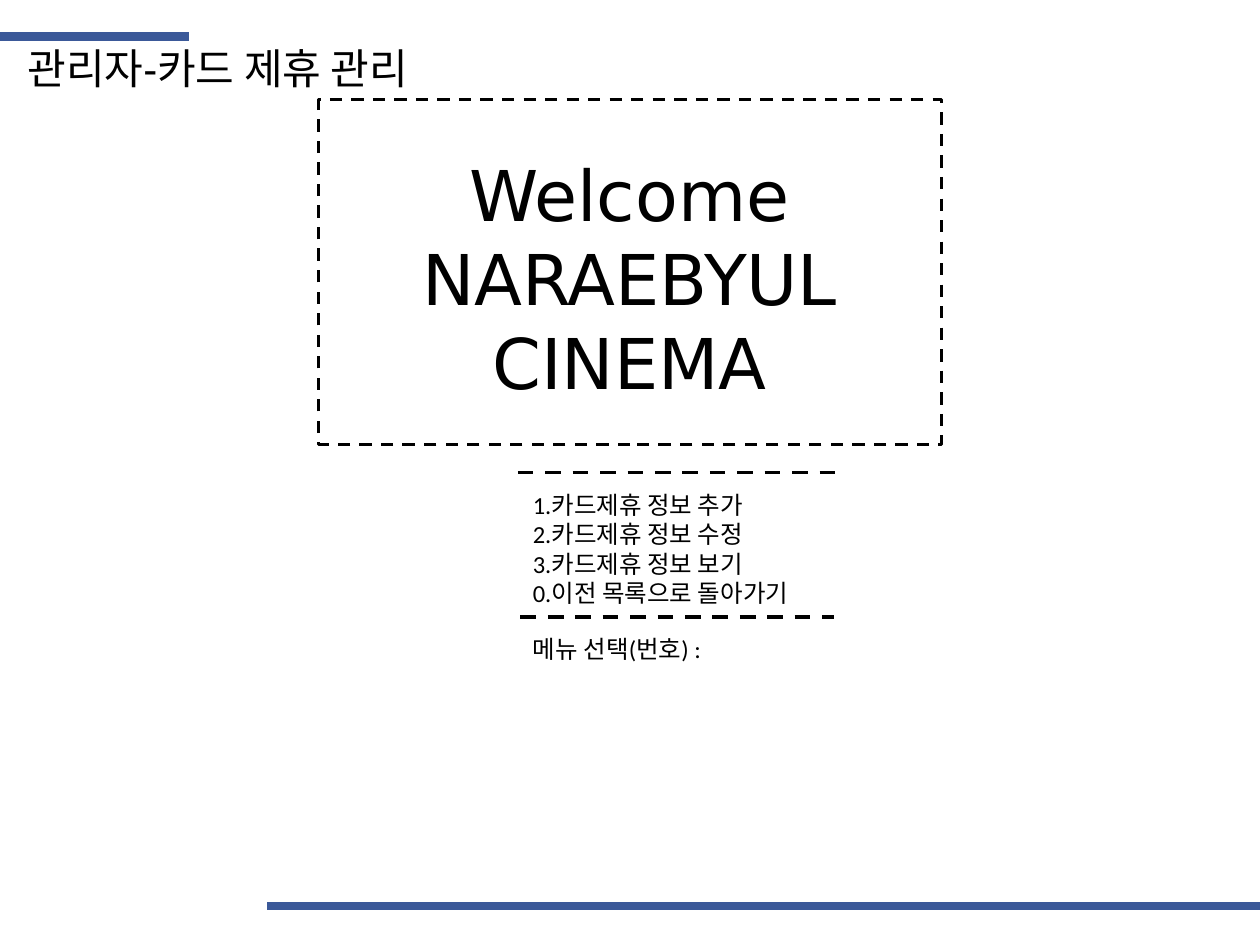
import pptx
import pptx.dml.color
import pptx.enum.dml
import pptx.enum.shapes
import pptx.enum.text
import pptx.oxml
import pptx.util

Pt = pptx.util.Pt
BLUE = pptx.dml.color.RGBColor(0x3B, 0x59, 0x99)
BLACK = pptx.dml.color.RGBColor(0, 0, 0)
DASH = pptx.enum.dml.MSO_LINE.DASH
LEFT = pptx.enum.text.PP_ALIGN.LEFT
CENTER = pptx.enum.text.PP_ALIGN.CENTER
EFFECTS = '<a:effectLst xmlns:a="http://schemas.openxmlformats.org/drawingml/2006/main"/>'


class ConsoleSlide:
    """Draws rules, frames and text on one slide, in points."""

    def __init__(self, slide):
        self.shapes = slide.shapes
        self.font = "Calibri"
        self.size = 14

    def stroke(self, line, color, width, dash):
        line.color.rgb = color
        line.width = Pt(width)
        if dash:
            line.dash_style = dash

    def rule(self, start, end, y, color, width, dash=None):
        rule = self.shapes.add_connector(
            pptx.enum.shapes.MSO_CONNECTOR.STRAIGHT, Pt(start), Pt(y), Pt(end), Pt(y))
        self.stroke(rule.line, color, width, dash)
        rule._element.spPr.append(pptx.oxml.parse_xml(EFFECTS))

    def frame(self, left, top, width, height):
        frame = self.shapes.add_shape(
            pptx.enum.shapes.MSO_SHAPE.RECTANGLE, Pt(left), Pt(top), Pt(width), Pt(height))
        frame.shadow.inherit = False
        frame.fill.background()
        self.stroke(frame.line, BLACK, 1.75, DASH)

    def text(self, lines, left, top, width, height, font=None, size=None, align=LEFT):
        body = self.shapes.add_textbox(Pt(left), Pt(top), Pt(width), Pt(height)).text_frame
        body.word_wrap = True
        body.text = "\n".join(lines)
        for paragraph in body.paragraphs:
            paragraph.alignment = align
            paragraph.font.name = font or self.font
            paragraph.font.size = Pt(size or self.size)
            paragraph.font.color.rgb = BLACK


def main():
    deck = pptx.Presentation()
    deck.slide_width, deck.slide_height = Pt(720), Pt(540)
    page = ConsoleSlide(deck.slides.add_slide(deck.slide_layouts[6]))

    page.rule(0, 108, 20.9, BLUE, 5)
    page.text(["관리자-카드 제휴 관리"], 8.6, 20.9, 315.4, 36, "Arial", 24)
    page.rule(152.6, 720, 517.7, BLUE, 5)

    page.frame(182.2, 56.9, 355.7, 197.3)
    page.text(["Welcome", "NARAEBYUL", "CINEMA"],
              157, 82.8, 405.4, 133.2, "DejaVu Sans", 40, CENTER)

    page.rule(295.9, 477.4, 270, BLACK, 2.25, DASH)
    page.text(["1.카드제휴 정보 추가", "2.카드제휴 정보 수정",
               "3.카드제휴 정보 보기", "0.이전 목록으로 돌아가기"],
              297.4, 276.5, 196.6, 72)
    page.rule(297.4, 476.6, 352.8, BLACK, 2.25, DASH)
    page.text(["메뉴 선택(번호) :"], 297.4, 358.6, 172.1, 24.5)

    deck.save("out.pptx")


if __name__ == "__main__":
    main()
